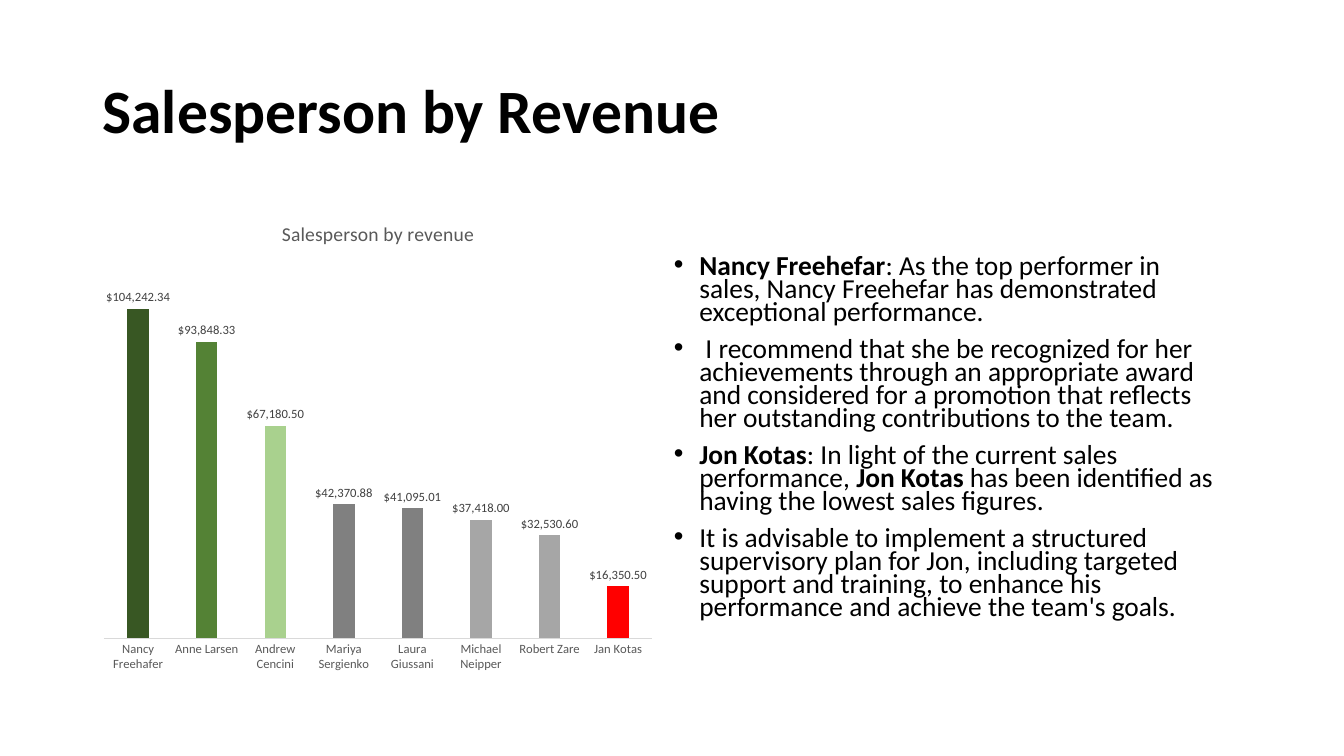
from pptx import Presentation
from pptx.chart.data import CategoryChartData
from pptx.dml.color import RGBColor
from pptx.enum.chart import XL_CHART_TYPE, XL_LABEL_POSITION, XL_TICK_MARK
from pptx.enum.text import MSO_ANCHOR, MSO_AUTO_SIZE, PP_ALIGN
from pptx.oxml import parse_xml
from pptx.oxml.ns import nsdecls
from pptx.util import Cm, Pt

COLORS = {
    "text": "000000", "axis_text": "595959", "label": "404040", "axis": "D9D9D9",
    "top": "385723", "second": "548235", "third": "A9D18E",
    "middle": "808080", "lower": "A6A6A6", "lowest": "FF0000",
}
MONEY = '"$"#,##0.00'
SALES = [
    ("Nancy Freehafer", 104242.34, "top"),
    ("Anne Larsen", 93848.33, "second"),
    ("Andrew Cencini", 67180.50, "third"),
    ("Mariya Sergienko", 42370.88, "middle"),
    ("Laura Giussani", 41095.01, "middle"),
    ("Michael Neipper", 37418.00, "lower"),
    ("Robert Zare", 32530.60, "lower"),
    ("Jan Kotas", 16350.50, "lowest"),
]
NOTES = [
    [("Nancy Freehefar", True),
     (": As the top performer in sales, Nancy Freehefar has demonstrated "
      "exceptional performance.", False)],
    [(" I recommend that she be recognized for her achievements through an "
      "appropriate award and considered for a promotion that reflects her "
      "outstanding contributions to the team.", False)],
    [("Jon Kotas", True),
     (": In light of the current sales performance, ", False),
     ("Jon Kotas", True),
     (" has been identified as having the lowest sales figures.", False)],
    [("It is advisable to implement a structured supervisory plan for Jon, "
      "including targeted support and training, to enhance his performance "
      "and achieve the team's goals.", False)],
]


def set_attrs(obj, **values):
    """Set each named attribute on an object."""
    for name, value in values.items():
        setattr(obj, name, value)


def set_font(font, size, color, bold=False):
    """Format a font in Calibri."""
    set_attrs(font, name="Calibri", size=Pt(size), bold=bold)
    font.color.rgb = RGBColor.from_string(COLORS[color])


def place(sp, box):
    """Move a shape to a left, top, width, height box."""
    set_attrs(sp, **dict(zip(("left", "top", "width", "height"), box)))


def add_title(slide, box):
    """Fill the title placeholder."""
    sp = slide.shapes.title
    place(sp, box)
    tf = sp.text_frame
    set_attrs(tf, vertical_anchor=MSO_ANCHOR.MIDDLE, word_wrap=True,
              auto_size=MSO_AUTO_SIZE.NONE)
    p = tf.paragraphs[0]
    set_attrs(p, alignment=PP_ALIGN.LEFT, line_spacing=0.9)
    r = p.add_run()
    r.text = "Salesperson by Revenue"
    set_font(r.font, 44, "text", True)


def add_notes(slide, box):
    """Fill the body placeholder with the bulleted recommendations."""
    sp = slide.placeholders[1]
    place(sp, box)
    tf = sp.text_frame
    set_attrs(tf, word_wrap=True, auto_size=MSO_AUTO_SIZE.NONE)
    for i, runs in enumerate(NOTES):
        p = tf.add_paragraph() if i else tf.paragraphs[0]
        set_attrs(p, line_spacing=0.7, space_before=Pt(10))
        pPr = p._p.get_or_add_pPr()
        pPr.set("marL", str(Cm(0.64)))
        pPr.set("indent", str(-Cm(0.64)))
        for text, bold in runs:
            r = p.add_run()
            r.text = text
            set_font(r.font, 19.6, "text", bold)


def fix_plot_area(chart, **fractions):
    """Fix the inner plot area as fractions of the chart."""
    area = chart._chartSpace.chart.plotArea
    for layout in area.findall("{*}layout"):
        area.remove(layout)
    sizes = "".join(f'<c:{k} val="{v}"/>' for k, v in fractions.items())
    area.insert(0, parse_xml(
        f'<c:layout {nsdecls("c")}><c:manualLayout><c:layoutTarget val="inner"/>'
        f'<c:xMode val="edge"/><c:yMode val="edge"/>{sizes}'
        '</c:manualLayout></c:layout>'))


def add_revenue_chart(slide, box):
    """Add the column chart of revenue by salesperson."""
    names, values, fills = zip(*SALES)
    data = CategoryChartData(number_format=MONEY)
    data.categories = names
    data.add_series("Series 1", values)
    chart = slide.shapes.add_chart(XL_CHART_TYPE.COLUMN_CLUSTERED, *box, data).chart
    set_font(chart.font, 10, "text")
    set_attrs(chart, has_legend=False, has_title=True)
    p = chart.chart_title.text_frame.paragraphs[0]
    r = p.add_run()
    r.text = "Salesperson by revenue"
    set_font(r.font, 14, "axis_text")
    chart.chart_title.include_in_layout = False
    fix_plot_area(chart, x=0.02, y=0.12, w=0.96, h=0.79)

    set_attrs(chart.value_axis, visible=False, has_major_gridlines=False,
              minimum_scale=0, maximum_scale=120000)
    axis = chart.category_axis
    set_attrs(axis, major_tick_mark=XL_TICK_MARK.NONE, minor_tick_mark=XL_TICK_MARK.NONE)
    set_font(axis.tick_labels.font, 9, "axis_text")
    axis.format.line.width = Pt(0.75)
    axis.format.line.color.rgb = RGBColor.from_string(COLORS["axis"])

    plot = chart.plots[0]
    set_attrs(plot, gap_width=219, overlap=-27, vary_by_categories=False,
              has_data_labels=True)
    set_attrs(plot.data_labels, show_value=True, number_format=MONEY,
              number_format_is_linked=False, position=XL_LABEL_POSITION.OUTSIDE_END)
    set_font(plot.data_labels.font, 9, "label")
    for i, color in enumerate(fills):
        fill = plot.series[0].points[i].format.fill
        fill.solid()
        fill.fore_color.rgb = RGBColor.from_string(COLORS[color])


def main():
    """Build and save the slide."""
    prs = Presentation()
    set_attrs(prs, slide_width=Cm(33.87), slide_height=Cm(19.05))
    slide = prs.slides.add_slide(prs.slide_layouts[1])
    left, width, height = Cm(2.33), Cm(14.4), Cm(12.09)
    add_title(slide, (left, Cm(1.02), Cm(29.21), Cm(3.68)))
    add_notes(slide, (left + width, Cm(6.35), width, height))
    add_revenue_chart(slide, (left, Cm(5.08), width, height))
    prs.save("out.pptx")


if __name__ == "__main__":
    main()
